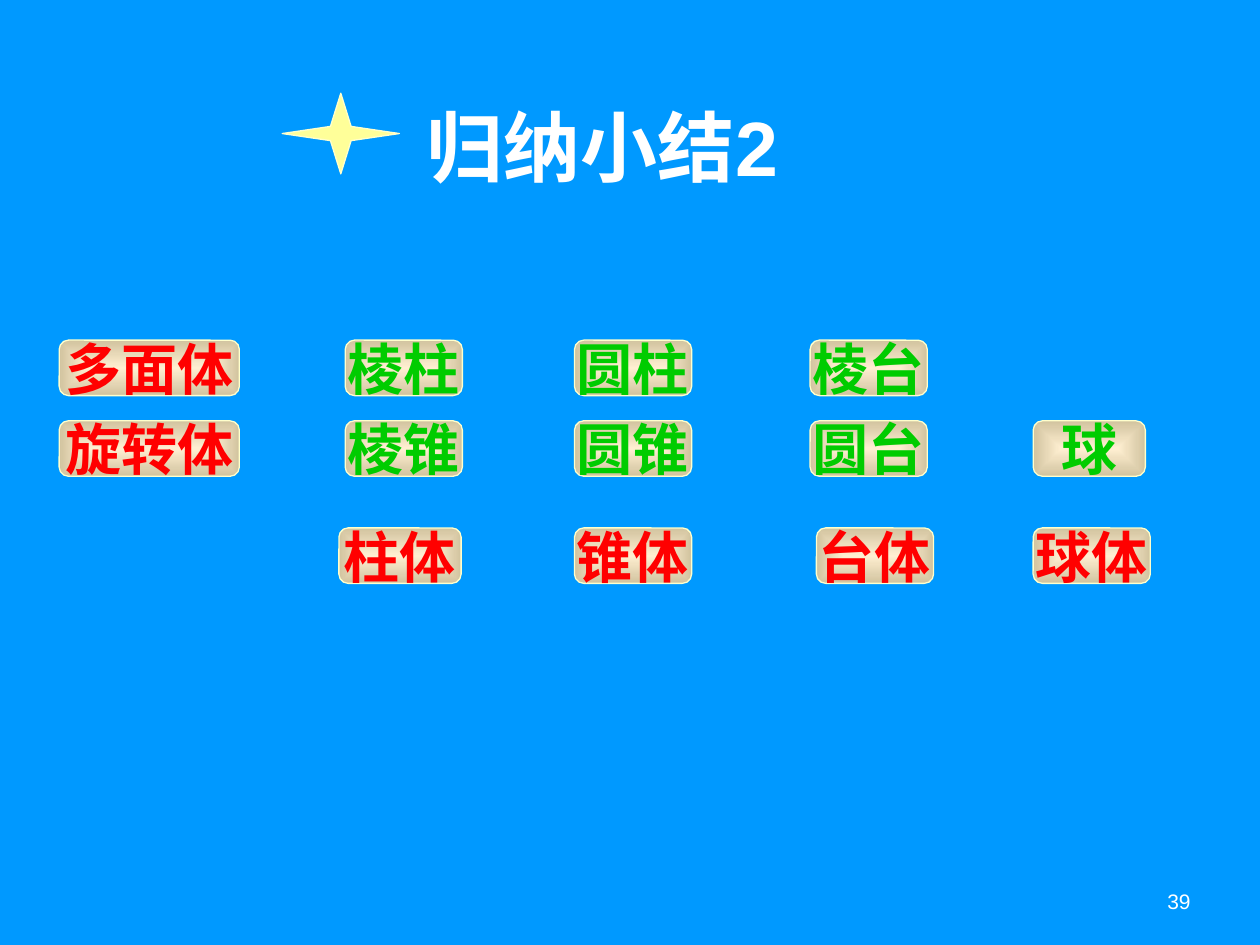
from lxml import etree
from pptx import Presentation
from pptx.dml.color import RGBColor
from pptx.enum.shapes import MSO_SHAPE
from pptx.enum.text import MSO_ANCHOR, MSO_AUTO_SIZE, PP_ALIGN
from pptx.oxml.ns import qn
from pptx.util import Inches, Pt

ROUNDED = MSO_SHAPE.ROUNDED_RECTANGLE
STAR = MSO_SHAPE.STAR_4_POINT
TOP, MIDDLE = MSO_ANCHOR.TOP, MSO_ANCHOR.MIDDLE
CENTER, RIGHT = PP_ALIGN.CENTER, PP_ALIGN.RIGHT
NO_FIT = MSO_AUTO_SIZE.NONE

COLORS = {
    "page": "0099FF",
    "white": "FFFFFF",
    "star": "FFFF99",
    "outline": "FFFFCC",
    "label_center": "FFEFD1",
    "label_edge": "D1C39F",
    "solid": "00CC00",
    "family": "FF0000",
}
ROW_TOPS = (2.7, 3.34, 4.19)
LABEL_HEIGHT = 0.44
LABELS = (
    (0, 0.47, 1.43, "多面体", "family"),
    (1, 0.47, 1.43, "旋转体", "family"),
    (0, 2.74, 0.93, "棱柱", "solid"),
    (1, 2.74, 0.93, "棱锥", "solid"),
    (2, 2.69, 0.97, "柱体", "family"),
    (0, 4.56, 0.93, "圆柱", "solid"),
    (1, 4.56, 0.93, "圆锥", "solid"),
    (2, 4.56, 0.93, "锥体", "family"),
    (0, 6.43, 0.93, "棱台", "solid"),
    (1, 6.43, 0.93, "圆台", "solid"),
    (2, 6.48, 0.93, "台体", "family"),
    (1, 8.2, 0.89, "球", "solid"),
    (2, 8.2, 0.93, "球体", "family"),
)


def color(name):
    return RGBColor.from_string(COLORS[name])


def write(shape, text, *, size, ink, bold=False, align=CENTER, anchor=MIDDLE,
          wrap=True, side_inset=0.1):
    frame = shape.text_frame
    frame.auto_size = NO_FIT
    frame.word_wrap = wrap
    frame.vertical_anchor = anchor
    frame.margin_left = frame.margin_right = Inches(side_inset)
    frame.margin_top = frame.margin_bottom = Inches(0.05)
    para = frame.paragraphs[0]
    para.alignment = align
    span = para.add_run()
    span.text = text
    span.font.name = "Arial"
    span.font.size = Pt(size)
    span.font.bold = bold
    span.font.color.rgb = color(ink)


def add_outlined(page, kind, box, adjustment):
    shape = page.shapes.add_shape(kind, *map(Inches, box))
    shape.adjustments[0] = adjustment
    shape.shadow.inherit = False
    shape.line.color.rgb = color("outline")
    shape.line.width = Pt(0.75)
    return shape


def fill_from_center(shape):
    shape.fill.gradient()
    for stop, name in zip(shape.fill.gradient_stops, ("label_center", "label_edge")):
        stop.color.rgb = color(name)
    gradient = shape._element.spPr.find(qn("a:gradFill"))
    gradient.remove(gradient.find(qn("a:lin")))
    center = etree.SubElement(gradient, qn("a:path"), {"path": "rect"})
    etree.SubElement(center, qn("a:fillToRect"), dict.fromkeys("ltrb", "50000"))


def add_heading(page, box):
    left, top, width, height = box
    star = add_outlined(page, STAR, (left, top, 0.93, 0.64), 0.125)
    star.fill.solid()
    star.fill.fore_color.rgb = color("star")
    title = page.shapes.title
    title.left, title.top = Inches(left + 0.65), Inches(top)
    title.width, title.height = Inches(width - 0.65), Inches(height)
    write(title, "归纳小结2", size=44, ink="white", bold=True, anchor=TOP)


def add_label(page, box, text, ink):
    label = add_outlined(page, ROUNDED, box, 0.167)
    fill_from_center(label)
    write(label, text, size=32, ink=ink, bold=True, wrap=False)


def add_page_number(page, box):
    number = page.shapes.add_textbox(*map(Inches, box))
    write(number, "39", size=12, ink="white", align=RIGHT, side_inset=0.05)


def main():
    deck = Presentation()
    deck.slide_width, deck.slide_height = Inches(10), Inches(7.5)
    page = deck.slides.add_slide(deck.slide_layouts[5])
    page.background.fill.solid()
    page.background.fill.fore_color.rgb = color("page")
    add_heading(page, (2.24, 0.74, 4.43, 0.84))
    for row, left, width, text, ink in LABELS:
        add_label(page, (left, ROW_TOPS[row], width, LABEL_HEIGHT), text, ink)
    add_page_number(page, (7.17, 6.95, 2.33, 0.4))
    deck.save("out.pptx")


if __name__ == "__main__":
    main()
